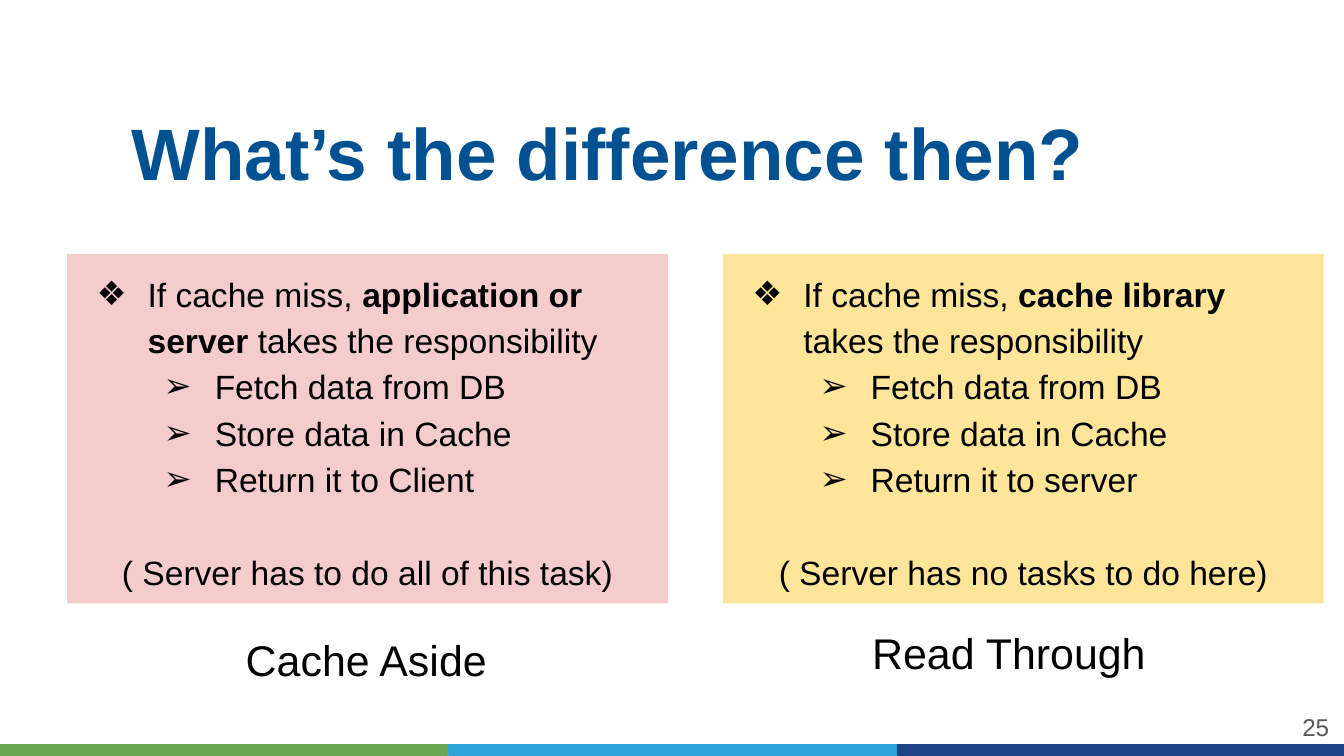
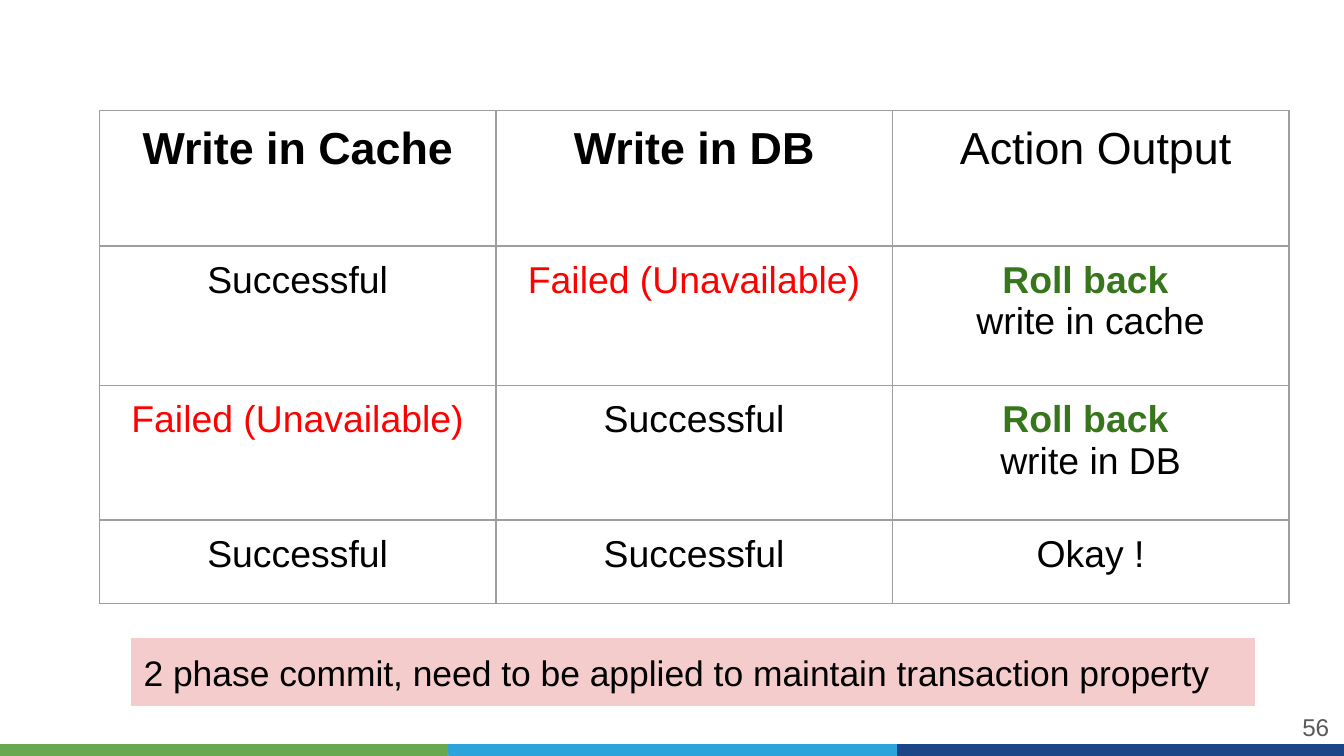
from lxml import etree
from pptx import Presentation
from pptx.dml.color import RGBColor
from pptx.enum.shapes import MSO_SHAPE
from pptx.enum.text import MSO_ANCHOR, PP_ALIGN
from pptx.oxml.ns import qn
from pptx.util import Inches, Pt

RECT = MSO_SHAPE.RECTANGLE
TOP, MIDDLE = MSO_ANCHOR.TOP, MSO_ANCHOR.MIDDLE
LEFT, CENTER, RIGHT = PP_ALIGN.LEFT, PP_ALIGN.CENTER, PP_ALIGN.RIGHT

BLACK = RGBColor(0x00, 0x00, 0x00)
WHITE = RGBColor(0xFF, 0xFF, 0xFF)
GRAY = RGBColor(0x59, 0x59, 0x59)
GRID = RGBColor(0x9E, 0x9E, 0x9E)
TITLE_BLUE = RGBColor(0x00, 0x51, 0x91)
PINK = RGBColor(0xF4, 0xCC, 0xCC)
YELLOW = RGBColor(0xFF, 0xE5, 0x99)
RED = RGBColor(0xFF, 0x00, 0x00)
GREEN = RGBColor(0x38, 0x76, 0x1D)
BANDS = [RGBColor(0x6A, 0xA8, 0x4F), RGBColor(0x2C, 0xA3, 0xDB), RGBColor(0x1C, 0x45, 0x87)]

FONT = "Arial"
WIDTH = Inches(10)
HEIGHT = WIDTH * 9 // 16

TITLE = "What’s the difference then?"
CARDS = [
    {"fill": PINK,
     "lead": [("If cache miss, ", {}), ("application or server", {"bold": True}),
              (" takes the responsibility", {})],
     "steps": ["Fetch data from DB", "Store data in Cache", "Return it to Client"],
     "note": "( Server has to do all of this task)",
     "caption": "Cache Aside", "caption_at": (1.73, 4.61)},
    {"fill": YELLOW,
     "lead": [("If cache miss, ", {}), ("cache library ", {"bold": True}),
              ("takes the responsibility", {})],
     "steps": ["Fetch data from DB", "Store data in Cache", "Return it to server"],
     "note": "( Server has no tasks to do here)",
     "caption": "Read Through", "caption_at": (6.39, 4.56)},
]

OK = ["Successful"]
FAILED = ["Failed (Unavailable)"]
OUTCOMES = [
    [["Write in Cache"], ["Write in DB"], [" Action Output"]],
    [OK, FAILED, ["Roll back ", "write in cache"]],
    [FAILED, OK, ["Roll back ", "write in DB"]],
    [OK, OK, ["Okay !"]],
]
ROW_HEIGHTS = [1.01, 1.04, 1, 0.62]
COLUMN_WIDTH = 2.95
CELL_FORMATS = {
    "Write in Cache": {"size": Pt(24), "bold": True},
    "Write in DB": {"size": Pt(24), "bold": True},
    " Action Output": {"size": Pt(24)},
    "Failed (Unavailable)": {"color": RED},
    "Roll back ": {"color": GREEN, "bold": True},
}
CALLOUT = "2 phase commit, need to be applied to maintain transaction property"


def set_font(font, values):
    for key, value in {"name": FONT, "bold": False, "color": BLACK, **values}.items():
        if key == "color":
            font.color.rgb = value
        else:
            setattr(font, key, value)


def add_runs(p, runs, size, **formats):
    for key, value in formats.items():
        setattr(p, key, value)
    for text, values in runs:
        r = p.add_run()
        r.text = text
        set_font(r.font, {"size": Pt(size), **values})


def add_bullet(p, char, margin):
    pPr = p._p.get_or_add_pPr()
    pPr.set("marL", str(Inches(margin)))
    pPr.set("indent", str(Inches(-0.38)))
    color = etree.SubElement(pPr, qn("a:buClr"))
    etree.SubElement(color, qn("a:srgbClr"), val=str(BLACK))
    etree.SubElement(pPr, qn("a:buFont"), typeface=FONT)
    etree.SubElement(pPr, qn("a:buChar"), char=char)


def set_frame(tf, inset, anchor):
    tf.word_wrap = True
    tf.vertical_anchor = anchor
    for side in ("left", "top", "right", "bottom"):
        setattr(tf, f"margin_{side}", Inches(inset))
    return tf


def add_rect(s, box, fill, line=None):
    sp = s.shapes.add_shape(RECT, *map(Inches, box))
    sp.shadow.inherit = False
    sp.fill.solid()
    sp.fill.fore_color.rgb = fill
    if line is None:
        sp.line.fill.background()
    else:
        sp.line.color.rgb = line
        sp.line.width = Pt(0.75)
    return set_frame(sp.text_frame, 0.1, MIDDLE)


def add_text(s, box, text, size, color, **formats):
    sp = s.shapes.add_textbox(*map(Inches, box))
    tf = set_frame(sp.text_frame, 0.07, MIDDLE)
    bold = formats.pop("bold", False)
    add_runs(tf.paragraphs[0], [(text, {"color": color, "bold": bold})], size, **formats)


def new_slide(prs, number):
    s = prs.slides.add_slide(prs.slide_layouts[6])
    for i, color in enumerate(BANDS):
        add_rect(s, (3.34 * i, 5.54, 3.33, 0.08), color, color)
    add_text(s, (9.36, 5.19, 0.6, 0.43), str(number), 13, GRAY, alignment=RIGHT)
    return s


def add_card(s, column, card):
    tf = add_rect(s, (0.5 + 4.88 * column, 1.89, 4.47, 2.6), card["fill"])
    tf.vertical_anchor = TOP
    p = tf.paragraphs[0]
    add_bullet(p, "❖", 0.5)
    add_runs(p, card["lead"], 18, alignment=LEFT, line_spacing=1.15)
    for step in card["steps"]:
        p = tf.add_paragraph()
        add_bullet(p, "➢", 1)
        add_runs(p, [(step, {})], 18, level=1, alignment=LEFT, line_spacing=1.15)
    add_runs(tf.add_paragraph(), [(card["note"], {})], 18,
             alignment=CENTER, line_spacing=1.15, space_before=Pt(25))
    tf = add_rect(s, (*card["caption_at"], 3.19, 0.59), WHITE)
    add_runs(tf.paragraphs[0], [(card["caption"], {})], 23, alignment=LEFT)


def add_borders(cell):
    tcPr = cell._tc.get_or_add_tcPr()
    for side in ("lnL", "lnR", "lnT", "lnB"):
        ln = etree.SubElement(tcPr, qn(f"a:{side}"), w=str(Pt(0.75)))
        fill = etree.SubElement(ln, qn("a:solidFill"))
        etree.SubElement(fill, qn("a:srgbClr"), val=str(GRID))


def add_outcomes(s):
    columns = len(OUTCOMES[0])
    box = (0.74, 0.82, COLUMN_WIDTH * columns, sum(ROW_HEIGHTS))
    table = s.shapes.add_table(len(OUTCOMES), columns, *map(Inches, box)).table
    table.first_row = table.horz_banding = False
    for column in table.columns:
        column.width = Inches(COLUMN_WIDTH)
    for i, (height, row) in enumerate(zip(ROW_HEIGHTS, OUTCOMES)):
        table.rows[i].height = Inches(height)
        for j, lines in enumerate(row):
            cell = table.cell(i, j)
            add_borders(cell)
            cell.fill.background()
            for side in ("left", "top", "right", "bottom"):
                setattr(cell, f"margin_{side}", Inches(0.1))
            tf = cell.text_frame
            for k, line in enumerate(lines):
                p = tf.add_paragraph() if k else tf.paragraphs[0]
                add_runs(p, [(line, CELL_FORMATS.get(line, {}))], 20, alignment=CENTER)


def main():
    prs = Presentation()
    prs.slide_width, prs.slide_height = WIDTH, HEIGHT

    s = new_slide(prs, 25)
    add_text(s, (0.91, 0.69, 8.93, 0.95), TITLE, 39, TITLE_BLUE, bold=True, line_spacing=0.9)
    for column, card in enumerate(CARDS):
        add_card(s, column, card)

    s = new_slide(prs, 56)
    add_outcomes(s)
    tf = add_rect(s, (0.97, 4.74, 8.37, 0.52), PINK, WHITE)
    add_runs(tf.paragraphs[0], [(CALLOUT, {})], 19, alignment=LEFT)

    prs.save("out.pptx")


if __name__ == "__main__":
    main()
